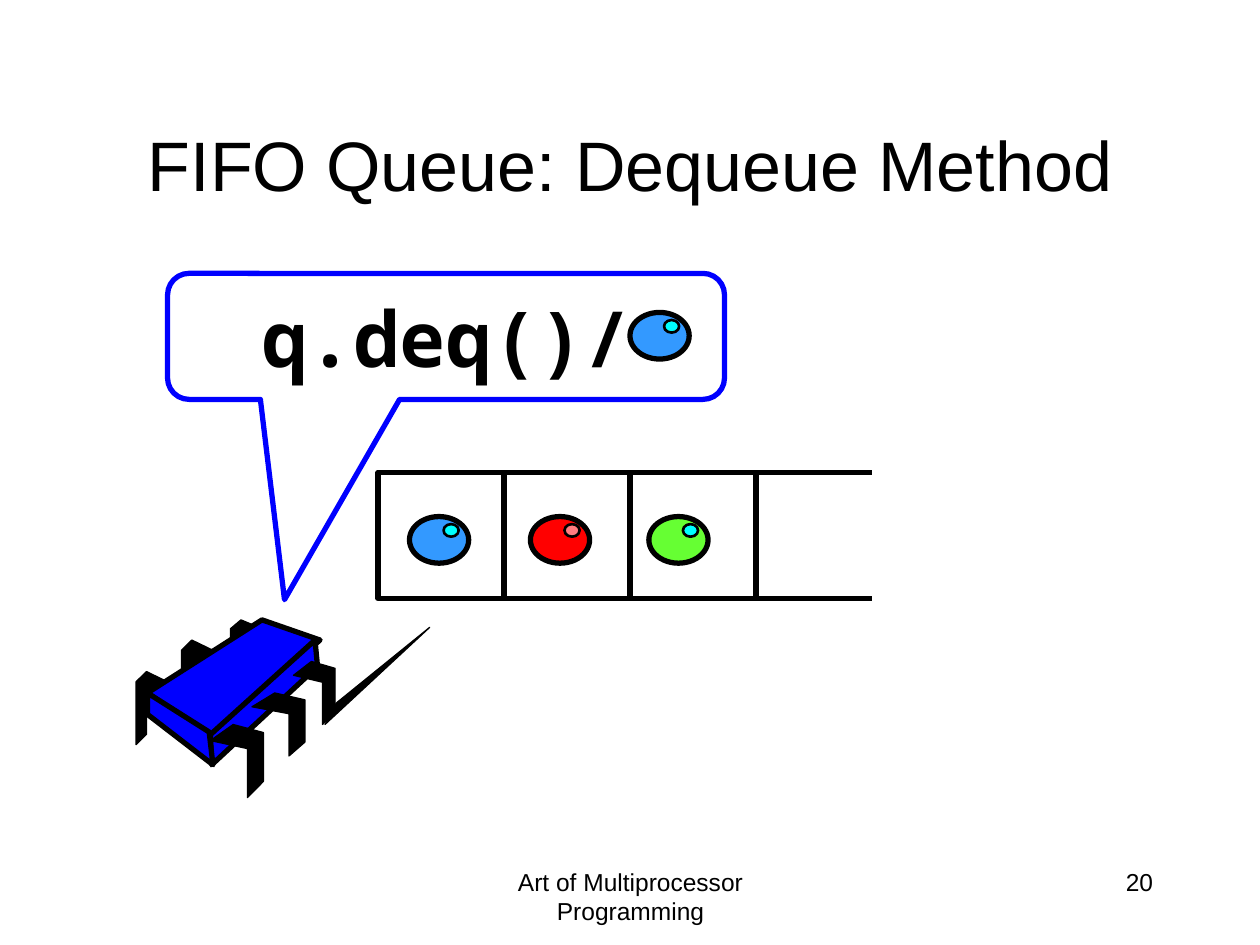
import dataclasses

import lxml.etree
import pptx
import pptx.dml.color
import pptx.enum.shapes
import pptx.enum.text
import pptx.oxml.ns
import pptx.util

SHAPE = pptx.enum.shapes.MSO_SHAPE
ALIGN = pptx.enum.text.PP_ALIGN
ANCHOR = pptx.enum.text.MSO_ANCHOR

REAR_LEG = [(1, 0.14), (0.33, 0), (0, 0.14), (0, 1), (0.33, 0.86), (0.33, 0.29), (1, 0.43)]
FRONT_LEG = [(0.43, 0), (0, 0.22), (0.7, 0.33), (0.7, 1), (1, 0.78), (1, 0.11)]
REAR_LEG_BOXES = [(1.08, 5.33, 0.25, 0.58), (1.44, 5.08, 0.25, 0.58), (1.83, 4.92, 0.25, 0.5)]
FRONT_LEG_BOXES = [(1.67, 5.75, 0.42, 0.58), (2, 5.5, 0.42, 0.5), (2.33, 5.25, 0.33, 0.5)]
CHIP_FACES = [
    [(2.08, 4.92), (1.17, 5.5), (1.68, 5.85), (2.54, 5.08)],
    [(2.5, 5.08), (1.67, 5.83), (1.68, 6.07), (2.52, 5.29)],
    [(1.17, 5.5), (1.17, 5.67), (1.69, 6.07), (1.66, 5.81)],
]
POINTER = [(2.58, 5.75), (2.67, 5.58), (3.41, 4.98)]


@dataclasses.dataclass(frozen=True)
class Theme:
    """Colours, fonts, type sizes and line widths."""
    ink: str = "000000"
    blue: str = "0000FF"
    sky: str = "3399FF"
    red: str = "FF0000"
    green: str = "66FF33"
    cyan: str = "00FFFF"
    pink: str = "FF7C80"
    font: str = "Arial"
    code_font: str = "Noto Sans Mono"
    title_size: float = 40
    code_size: float = 44
    footer_size: float = 14
    heavy: float = 3
    medium: float = 1.5
    thin: float = 0.75


def lengths(*inches):
    """Turn inch measures into lengths."""
    return [pptx.util.Cm(2.54 * value) for value in inches]


def scaled(outline, box):
    """Fit an outline of fractions into a box."""
    left, top, width, height = box
    return [(left + x * width, top + y * height) for x, y in outline]


class SlideBuilder:
    """Holds the theme and the current slide."""

    def __init__(self, slide, theme):
        self.slide = slide
        self.theme = theme

    def colour(self, value):
        return pptx.dml.color.RGBColor.from_string(value)

    def paint(self, shape, fill, line, width):
        shape.shadow.inherit = False
        if fill:
            shape.fill.solid()
            shape.fill.fore_color.rgb = self.colour(fill)
        else:
            shape.fill.background()
        shape.line.color.rgb = self.colour(line)
        shape.line.width = pptx.util.Pt(width)

    def label(self, shape, text, alignment, anchor, **font_format):
        frame = shape.text_frame
        frame.text = text
        frame.word_wrap = True
        frame.vertical_anchor = anchor
        paragraph = frame.paragraphs[0]
        paragraph.alignment = alignment
        font = paragraph.runs[0].font
        for name, value in font_format.items():
            setattr(font, name, pptx.util.Pt(value) if name == "size" else value)
        font.color.rgb = self.colour(self.theme.ink)

    def title(self, text, box):
        shape = self.slide.shapes.title
        for name, value in zip(("left", "top", "width", "height"), lengths(*box)):
            setattr(shape, name, value)
        self.label(shape, text, ALIGN.CENTER, ANCHOR.MIDDLE,
                   name=self.theme.font, size=self.theme.title_size)

    def footer(self, text, box, alignment):
        shape = self.slide.shapes.add_textbox(*lengths(*box))
        self.label(shape, text, alignment, ANCHOR.TOP,
                   name=self.theme.font, size=self.theme.footer_size)

    def preset(self, shapes, kind, box, fill, line, width):
        shape = shapes.add_shape(kind, *lengths(*box))
        self.paint(shape, fill, line, width)
        return shape

    def rule(self, start, end):
        connector = self.slide.shapes.add_connector(
            pptx.enum.shapes.MSO_CONNECTOR.STRAIGHT, *lengths(*start, *end))
        connector.line.color.rgb = self.colour(self.theme.ink)
        connector.line.width = pptx.util.Pt(self.theme.heavy)
        properties = connector._element.spPr
        lxml.etree.SubElement(properties, pptx.oxml.ns.qn("a:effectLst"))

    def outline(self, shapes, points, fill, width):
        start, *rest = [lengths(*point) for point in points]
        builder = shapes.build_freeform(*start)
        builder.add_line_segments(rest, close=True)
        self.paint(builder.convert_to_shape(), fill, self.theme.ink, width)

    def bead(self, left, top, fill, glint):
        shapes = self.slide.shapes.add_group_shape().shapes
        theme = self.theme
        self.preset(shapes, SHAPE.OVAL, (left, top, 0.47, 0.37), fill, theme.ink, theme.heavy)
        self.preset(shapes, SHAPE.OVAL, (left + 0.27, top + 0.06, 0.12, 0.1),
                    glint, theme.ink, theme.medium)

    def queue(self, left, top, side, count):
        theme = self.theme
        for index in range(count):
            self.preset(self.slide.shapes, SHAPE.RECTANGLE,
                        (left + index * side, top, side, side), None, theme.ink, theme.heavy)
        start = left + count * side - 0.08
        for height in (top, top + side):
            self.rule((start, height), (start + side, height))

    def processor(self):
        shapes = self.slide.shapes.add_group_shape().shapes
        theme = self.theme
        for box in REAR_LEG_BOXES:
            self.outline(shapes, scaled(REAR_LEG, box), theme.ink, theme.thin)
        for face in CHIP_FACES:
            self.outline(shapes, face, theme.blue, theme.heavy)
        for box in FRONT_LEG_BOXES:
            self.outline(shapes, scaled(FRONT_LEG, box), theme.ink, theme.thin)
        self.outline(self.slide.shapes, POINTER, theme.ink, theme.thin)

    def callout(self, text, box, adjustments):
        theme = self.theme
        shape = self.preset(self.slide.shapes, SHAPE.ROUNDED_RECTANGULAR_CALLOUT,
                            box, None, theme.blue, theme.heavy)
        for index, value in enumerate(adjustments):
            shape.adjustments[index] = value
        self.label(shape, text, ALIGN.CENTER, ANCHOR.MIDDLE,
                   name=theme.code_font, size=theme.code_size, bold=True)


def main():
    """Build the slide and save it."""
    presentation = pptx.Presentation()
    presentation.slide_width, presentation.slide_height = lengths(10, 7.5)
    slide = presentation.slides.add_slide(presentation.slide_layouts[5])
    theme = Theme()
    builder = SlideBuilder(slide, theme)
    builder.footer("20", (7.17, 6.83, 2.08, 0.5), ALIGN.RIGHT)
    builder.title("FIFO Queue: Dequeue Method", (0.75, 0.67, 8.5, 1.25))
    builder.queue(3, 3.75, 1, 3)
    builder.bead(5.15, 4.1, theme.green, theme.cyan)
    builder.bead(4.21, 4.1, theme.red, theme.pink)
    builder.processor()
    builder.callout("q.deq()/", (1.33, 2.17, 4.42, 1), (-0.29, 2.09, 0.17))
    builder.bead(3.25, 4.1, theme.sky, theme.cyan)
    builder.bead(5, 2.48, theme.sky, theme.cyan)
    builder.footer("Art of Multiprocessor Programming", (3.42, 6.83, 3.17, 0.5), ALIGN.CENTER)
    presentation.save("out.pptx")


if __name__ == "__main__":
    main()
